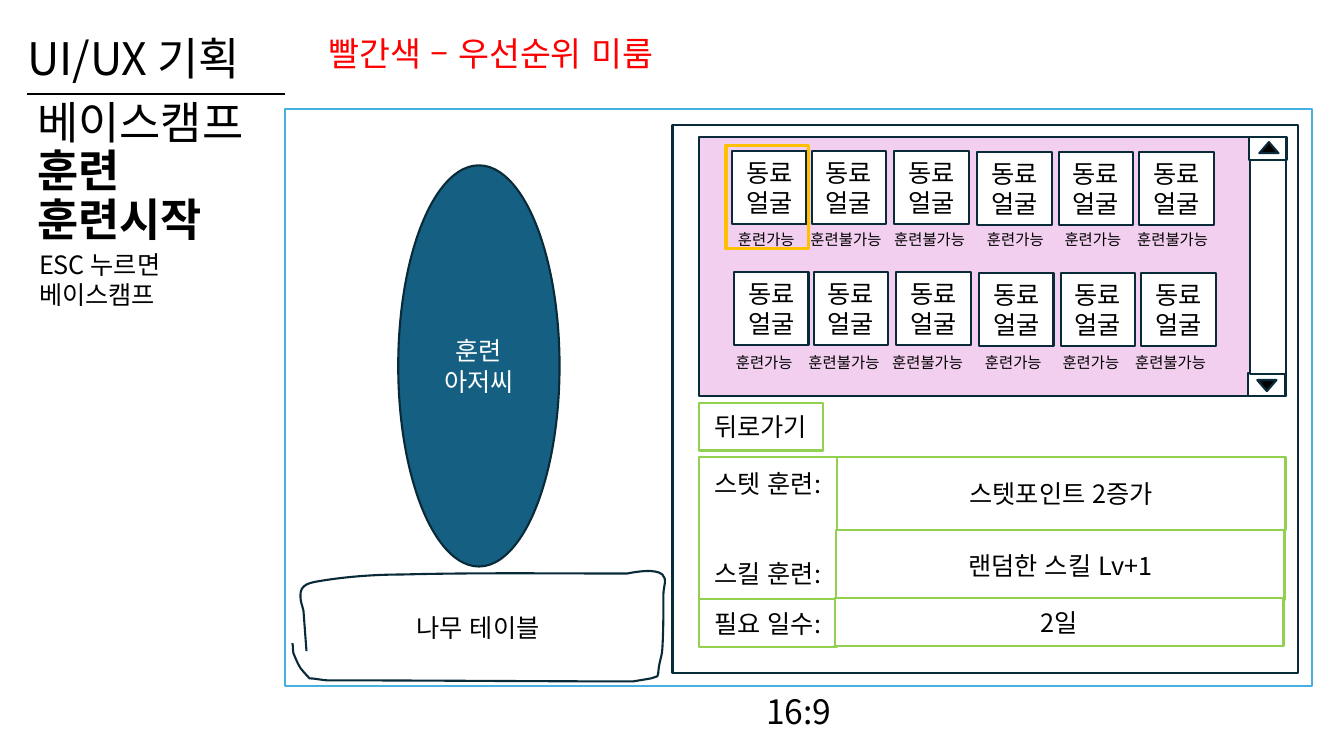
from lxml import etree
from pptx import Presentation
from pptx.dml.color import RGBColor
from pptx.enum.lang import MSO_LANGUAGE_ID as Language
from pptx.enum.shapes import MSO_CONNECTOR as Connector, MSO_SHAPE as Shape
from pptx.enum.text import MSO_ANCHOR as Anchor, PP_ALIGN as Align
from pptx.oxml.ns import qn
from pptx.util import Inches, Pt

FONT = "Noto Sans CJK KR"
COLORS = {
    "black": "000000", "white": "FFFFFF", "red": "FF0000", "ink": "092A39",
    "teal": "156082", "sky": "46B1E1", "pink": "F2CFEE", "green": "92D050",
    "gold": "FFC000",
}


def color(name):
    return RGBColor.from_string(COLORS[name])


def add_span(para, text, size, tint, bold=None):
    span = para.add_run()
    span.text = text
    span.font.size = Pt(size)
    span.font.name = FONT
    span.font.bold = bold
    span.font.language_id = Language.KOREAN
    span.font.color.rgb = color(tint)
    east_asian = etree.Element(qn("a:ea"), typeface=FONT)
    span.font._element.find(qn("a:latin")).addnext(east_asian)


def write(frame, lines, size=18, tint="black", align=Align.LEFT, anchor=Anchor.MIDDLE,
          spacing=None, gap=0):
    """Write one paragraph per line; gap is the space before later lines."""
    frame.word_wrap = True
    frame.vertical_anchor = anchor
    for index, line in enumerate(lines):
        para = frame.paragraphs[0] if index == 0 else frame.add_paragraph()
        para.alignment = align
        if spacing:
            para.line_spacing = spacing
        if index and gap:
            para.space_before = Pt(gap)
        add_span(para, line, size, tint)


def add_text(page, box, lines, **style):
    frame = page.shapes.add_textbox(*map(Inches, box)).text_frame
    write(frame, lines, **style)
    return frame


def paint(shape, fill, line, width=1.5):
    shape.shadow.inherit = False
    if fill:
        shape.fill.solid()
        shape.fill.fore_color.rgb = color(fill)
    else:
        shape.fill.background()
    shape.line.color.rgb = color(line)
    shape.line.width = Pt(width)


def add_box(page, box, lines=(), kind=Shape.RECTANGLE, fill="white", line="ink",
            width=1.5, **style):
    shape = page.shapes.add_shape(kind, *map(Inches, box))
    paint(shape, fill, line, width)
    if lines:
        write(shape.text_frame, lines, align=Align.CENTER, **style)
    return shape


def draw_headings(page, left, top):
    add_text(page, (left, top, 11.5, 0.96), ["UI/UX 기획"], size=32, spacing=0.9)
    rule_y = Inches(top + 0.8)
    rule = page.shapes.add_connector(
        Connector.STRAIGHT, Inches(left + 0.1), rule_y, Inches(left + 2.66), rule_y)
    rule.line.color.rgb = color("black")
    rule.line.width = Pt(1.5)
    etree.SubElement(rule._element.spPr, qn("a:effectLst"))
    # Screen title: one paragraph with line breaks
    title = add_text(page, (left + 0.1, top + 0.8, 2.48, 1.58), ["베이스캠프"],
                     size=32, spacing=0.9)
    for line in ("훈련", "훈련시작"):
        title.paragraphs[0].add_line_break()
        add_span(title.paragraphs[0], line, 32, "black", bold=True)
    add_text(page, (left + 2.99, top + 0.02, 4.32, 0.8), ["빨간색 – 우선순위 미룸"],
             size=24, tint="red", spacing=0.9)
    add_text(page, (left + 0.12, top + 2.29, 6.67, 0.71), ["ESC 누르면", "베이스캠프"],
             anchor=Anchor.TOP)


# Hand-drawn table outline: start point, then cubic curves (two handles, end)
TABLE_START = (0.14, 0.79)
TABLE_CURVES = [
    (0.13, 0.66, 0.12, 0.52, 0.11, 0.39), (0.1, 0.34, 0.08, 0.3, 0.08, 0.25),
    (0.07, 0.12, 0.18, 0.11, 0.3, 0.09), (0.55, 0.05, 0.82, 0.03, 1.08, 0.03),
    (1.82, 0.01, 2.57, 0.02, 3.32, 0.02), (3.42, 0, 3.6, -0.03, 3.67, 0.03),
    (3.72, 0.07, 3.68, 0.16, 3.68, 0.22), (3.68, 0.4, 3.68, 0.58, 3.67, 0.76),
    (3.67, 0.81, 3.65, 0.87, 3.64, 0.92), (3.64, 0.94, 3.63, 0.96, 3.63, 0.99),
    (3.63, 1, 3.63, 1.02, 3.62, 1.04), (3.6, 1.05, 3.58, 1.05, 3.56, 1.06),
    (3.5, 1.07, 3.44, 1.08, 3.38, 1.09), (2.37, 1.09, 1.36, 1.08, 0.35, 1.08),
    (0.31, 1.08, 0.22, 1.06, 0.17, 1.06), (0.08, 0.96, 0.08, 0.98, 0.01, 0.81),
    (0, 0.78, 0.01, 0.75, 0, 0.71),
]


def add_curve(page, left, top, start, curves):
    """Build the outline through the end points, then bend each segment."""
    def place(x, y):
        return Inches(left + x), Inches(top + y)

    builder = page.shapes.build_freeform(*place(*start))
    builder.add_line_segments([place(*curve[4:]) for curve in curves], close=False)
    shape = builder.convert_to_shape()
    segments = list(shape._element.iter(qn("a:lnTo")))
    for segment, curve in zip(segments, curves):
        segment.tag = qn("a:cubicBezTo")
        for index in (0, 1):
            x, y = place(*curve[2 * index:2 * index + 2])
            handle = etree.Element(qn("a:pt"), x=str(x - shape.left), y=str(y - shape.top))
            segment.insert(index, handle)
    return shape


def draw_trainer(page, left, top):
    add_box(page, (left + 1.05, top, 1.6, 3.98), ["훈련", "아저씨"], kind=Shape.OVAL,
            fill="teal", tint="white")
    table = add_curve(page, left, top + 4.03, TABLE_START, TABLE_CURVES)
    paint(table, None, "ink")
    write(table.text_frame, ["나무 테이블"], align=Align.CENTER)


def draw_scrollbar(page, left, top):
    add_box(page, (left, top, 0.37, 0.23))
    add_box(page, (left - 0.01, top + 2.34, 0.37, 0.23))
    add_box(page, (left + 0.1, top + 0.05, 0.19, 0.11), kind=Shape.ISOSCELES_TRIANGLE,
            fill="black")
    down = add_box(page, (left + 0.08, top + 2.41, 0.19, 0.11),
                   kind=Shape.ISOSCELES_TRIANGLE, fill="black")
    down.rotation = 180
    add_box(page, (left + 0.01, top + 0.23, 0.36, 2.12))


def draw_roster(page, left, top):
    add_box(page, (left, top, 5.82, 2.57), fill="pink")
    draw_scrollbar(page, left + 5.46, top)
    open_, closed = "훈련가능", "훈련불가능"
    # Each column: card left, card drop, caption left, caption
    columns = [
        (0.33, 0, 0.29, open_), (1.12, 0, 1.01, closed), (1.94, 0, 1.84, closed),
        (2.76, 0.01, 2.76, open_), (3.57, 0.01, 3.53, open_), (4.37, 0.01, 4.25, closed),
    ]
    # Each row: card shift, card top, caption shift, caption top
    rows = [(0, 0.14, 0, 0.87), (0.02, 1.34, -0.02, 2.09)]
    for card_shift, card_y, caption_shift, caption_y in rows:
        for card_x, drop, caption_x, caption in columns:
            add_box(page, (left + card_x + card_shift, top + card_y + drop, 0.74, 0.72),
                    ["동료얼굴"])
            add_text(page, (left + caption_x + caption_shift, top + caption_y, 1.1, 0.29),
                     [caption], size=11, anchor=Anchor.TOP)
    # Selected companion
    add_box(page, (left + 0.27, top + 0.08, 0.82, 1.03), fill=None, line="gold", width=2.25)


def draw_details(page, left, top):
    cells = [
        ((0, 0.53, 1.37, 1.42), ["스텟 훈련:", "스킬 훈련:"]),
        ((1.37, 0.53, 4.45, 0.73), ["스텟포인트 2증가"]),
        ((1.36, 1.26, 4.45, 0.69), ["랜덤한 스킬 Lv+1"]),
        ((0, 0, 1.23, 0.47), ["뒤로가기"]),
        ((0, 1.94, 1.37, 0.48), ["필요 일수:"]),
        ((1.35, 1.93, 4.45, 0.48), ["2일"]),
    ]
    for (x, y, width, height), lines in cells:
        add_box(page, (left + x, top + y, width, height), lines, line="green", gap=43)


def main():
    deck = Presentation()
    deck.slide_width, deck.slide_height = Inches(13.33), Inches(7.5)
    page = deck.slides.add_slide(deck.slide_layouts[6])
    # Screen frame and right-hand panel
    add_box(page, (6.67, 1.24, 6.2, 5.44))
    add_box(page, (2.83, 1.08, 10.18, 5.73), fill=None, line="sky")
    add_text(page, (7.5, 6.68, 1.25, 0.8), ["16:9"], size=24, spacing=0.9)
    # Screen contents
    draw_headings(page, 0.17, 0.13)
    draw_trainer(page, 2.9, 1.64)
    draw_roster(page, 6.93, 1.36)
    draw_details(page, 6.93, 4)
    deck.save("out.pptx")


if __name__ == "__main__":
    main()
